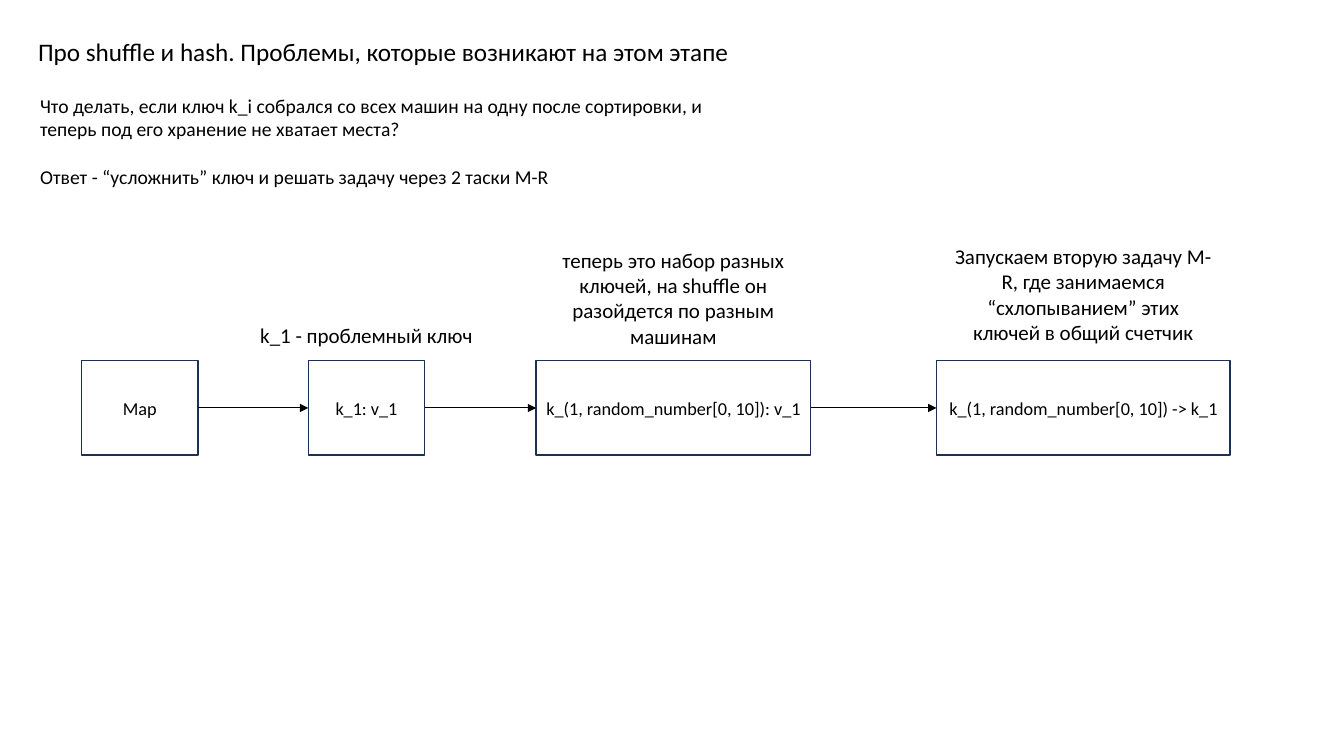
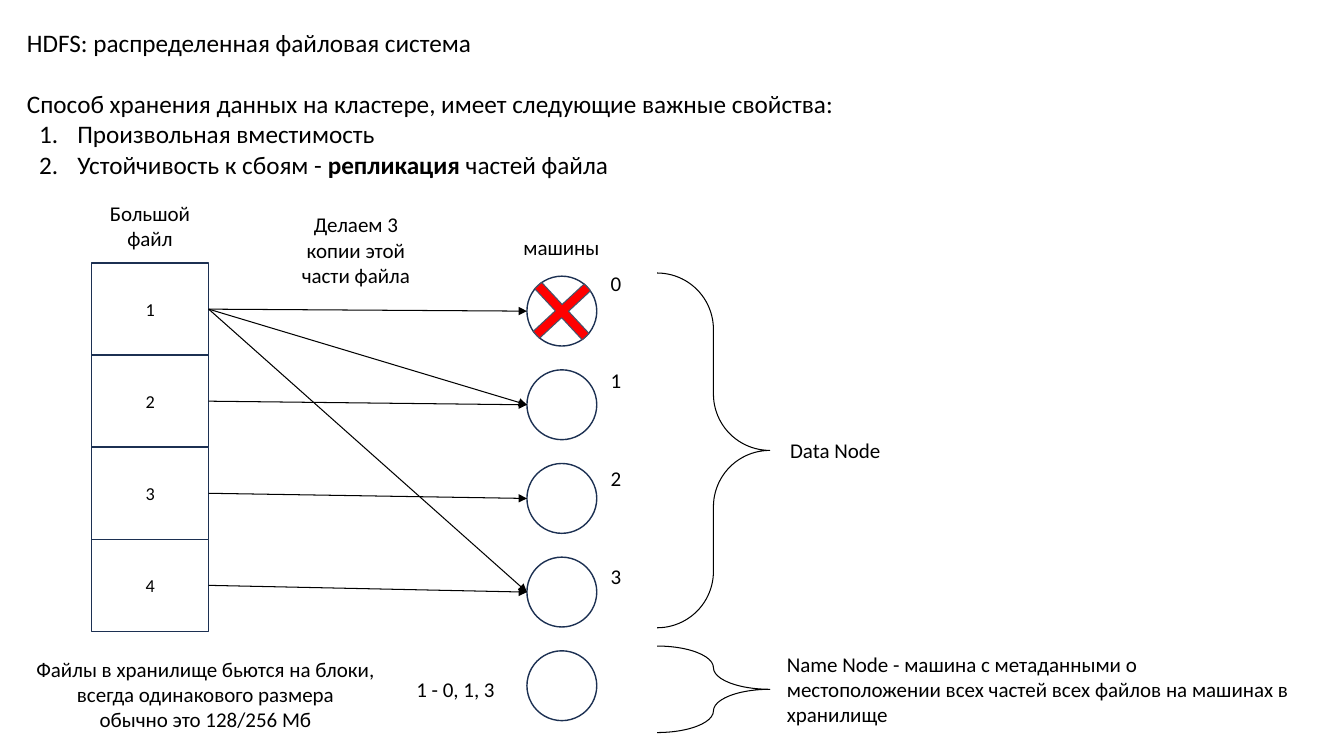
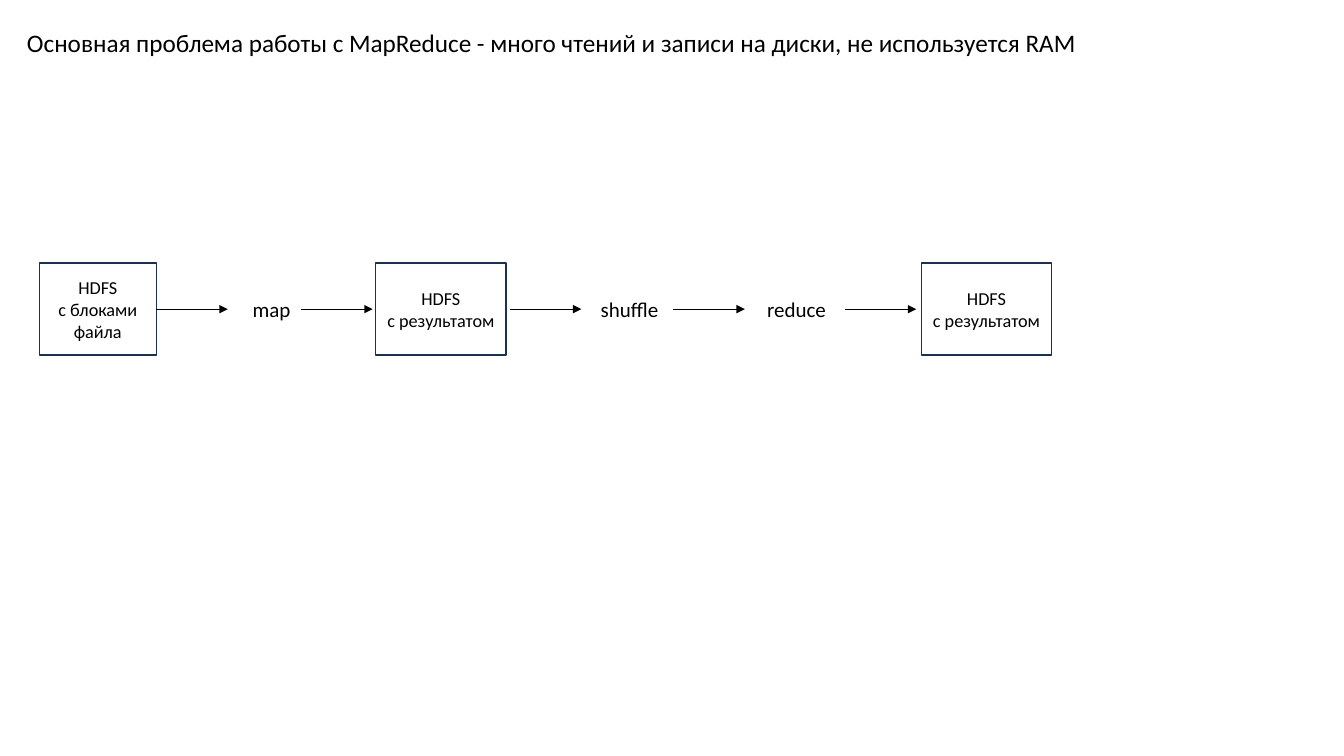
from lxml import etree
from pptx import Presentation
from pptx.dml.color import RGBColor
from pptx.enum.shapes import MSO_CONNECTOR, MSO_SHAPE
from pptx.enum.text import MSO_ANCHOR, MSO_AUTO_SIZE, PP_ALIGN
from pptx.oxml.ns import qn
from pptx.util import Cm, Pt

LEFT, CENTER = PP_ALIGN.LEFT, PP_ALIGN.CENTER
TOP, MIDDLE, BOTTOM = MSO_ANCHOR.TOP, MSO_ANCHOR.MIDDLE, MSO_ANCHOR.BOTTOM
RECT, OVAL = MSO_SHAPE.RECTANGLE, MSO_SHAPE.OVAL
CROSS, BRACE = MSO_SHAPE.CROSS, MSO_SHAPE.RIGHT_BRACE
STRAIGHT = MSO_CONNECTOR.STRAIGHT
NO_AUTOFIT = MSO_AUTO_SIZE.NONE
SITE_LEFT, SITE_RIGHT = 1, 3

FONT = "Calibri"
BLACK, WHITE, RED = "000000", "FFFFFF", "FF0000"
NAVY, SLATE = "1C3052", "44546A"
TITLE_SIZE, CAPTION_SIZE, INTRO_SIZE, BOX_SIZE = 18, 15, 14, 13
TITLE_ONLY = 5


def color(hex_string):
    return RGBColor.from_string(hex_string)


def write(frame, text, size, align=LEFT, anchor=TOP, pad=0.13):
    """Fill a text frame; lines become paragraphs, *stars* mark bold."""
    frame_format = {
        "word_wrap": True, "auto_size": NO_AUTOFIT, "vertical_anchor": anchor,
        "margin_left": Cm(0.25), "margin_right": Cm(0.25),
        "margin_top": Cm(pad), "margin_bottom": Cm(pad),
    }
    for name, value in frame_format.items():
        setattr(frame, name, value)
    for index, line in enumerate(text.split("\n")):
        paragraph = frame.add_paragraph() if index else frame.paragraphs[0]
        paragraph.alignment = align
        for part, words in enumerate(line.split("*")):
            run = paragraph.add_run()
            run.text = words
            font_format = {"name": FONT, "size": Pt(size), "bold": part % 2 == 1}
            for name, value in font_format.items():
                setattr(run.font, name, value)
            run.font.color.rgb = color(BLACK)
    return frame.paragraphs


def add_titled_slide(prs, title, left=0.43, top=0.43):
    slide = prs.slides.add_slide(prs.slide_layouts[TITLE_ONLY])
    holder = slide.shapes.title
    place = {"left": left, "top": top, "width": 27.5, "height": 1.27}
    for name, value in place.items():
        setattr(holder, name, Cm(value))
    write(holder.text_frame, title, TITLE_SIZE, pad=0.25)
    return slide


def add_text(slide, box, text, size=CAPTION_SIZE, align=CENTER, anchor=TOP, pad=0.13):
    holder = slide.shapes.add_textbox(*map(Cm, box))
    return write(holder.text_frame, text, size, align, anchor, pad)


def add_figure(slide, kind, box, text="", fill=WHITE, line=NAVY, weight=1):
    figure = slide.shapes.add_shape(kind, *map(Cm, box))
    figure.shadow.inherit = False
    figure.fill.solid()
    figure.fill.fore_color.rgb = color(fill)
    figure.line.color.rgb = color(line)
    figure.line.width = Pt(weight)
    if text:
        write(figure.text_frame, text, BOX_SIZE, CENTER, MIDDLE)
    return figure


def add_arrow(slide, start, end, source=None, target=None):
    """Arrow between two points, joined to the source and target boxes if given."""
    arrow = slide.shapes.add_connector(STRAIGHT, *map(Cm, (*start, *end)))
    if source:
        arrow.begin_connect(source, SITE_RIGHT)
    if target:
        arrow.end_connect(target, SITE_LEFT)
    arrow.line.color.rgb = color(BLACK)
    arrow.line.width = Pt(0.75)
    etree.SubElement(arrow.line._get_or_add_ln(), qn("a:tailEnd"), type="triangle")
    etree.SubElement(arrow._element.spPr, qn("a:effectLst"))


def number(paragraph):
    properties = paragraph._p.get_or_add_pPr()
    properties.set("marL", str(Cm(1.27)))
    properties.set("indent", str(Cm(-0.96)))
    etree.SubElement(properties, qn("a:buFont"), typeface="+mj-lt")
    etree.SubElement(properties, qn("a:buAutoNum"), type="arabicPeriod")


def key_flow(slide, left, top):
    """Row of boxes with captions above and arrows between them."""
    height, caption_width, caption_height = 2.38, 7.11, 2.82
    steps = [  # offset, width, text, caption, gap under caption
        (0, 2.93, "Map", "", 0),
        (5.71, 2.93, "k_1: v_1", "k_1 - проблемный ключ", 0.2),
        (11.45, 6.92, "k_(1, random_number[0, 10]): v_1",
         "теперь это набор разных ключей, на shuffle он разойдется по разным машинам", 0.18),
        (21.54, 7.4, "k_(1, random_number[0, 10]) -> k_1",
         "Запускаем вторую задачу M-R, где занимаемся “схлопыванием” этих "
         "ключей в общий счетчик", 0.28),
    ]
    previous = None
    for offset, width, text, caption, gap in steps:
        x = left + offset
        step = add_figure(slide, RECT, (x, top, width, height), text)
        if caption:
            caption_box = (x + (width - caption_width) / 2, top - gap - caption_height,
                           caption_width, caption_height)
            add_text(slide, caption_box, caption, anchor=BOTTOM)
        if previous:
            add_arrow(slide, (left, top), (x, top), previous, step)
        previous = step


def replication(slide, left, top):
    """File blocks, machines, and the arrows that copy blocks to machines."""
    block_width, block_height = 2.95, 2.32
    diameter, pitch, label_pitch = 1.76, 2.36, 2.46
    machine_left, machine_top = left + 10.97, top + 0.33
    blocks = [
        add_figure(slide, RECT, (left, top + i * block_height, block_width, block_height),
                   str(i + 1))
        for i in range(4)
    ]
    for i in range(5):
        add_figure(slide, OVAL, (machine_left, machine_top + i * pitch, diameter, diameter))
    for i in range(4):
        add_text(slide, (left + 12.83, top + 0.05 + i * label_pitch, 0.84, 0.89),
                 str(i), align=LEFT)
    failure = add_figure(slide, CROSS, (machine_left, machine_top, diameter, diameter),
                         fill=RED, line=SLATE, weight=0.75)
    failure.adjustments[0] = 0.433
    failure.rotation = 47.1
    for block, machine in [(0, 0), (1, 1), (2, 2), (3, 3), (0, 1), (0, 3)]:
        end = (machine_left, machine_top + machine * pitch + diameter / 2)
        add_arrow(slide, (left, top), end, source=blocks[block])

    captions = [  # offset x, offset y, width, height, text
        (-0.18, -1.7, 3.3, 1.55, "Большой файл"),
        (5.01, -1.42, 3.3, 2.18, "Делаем 3 копии этой части файла"),
        (10.19, -0.84, 3.3, 0.89, "машины"),
        (7.52, 10.29, 3.3, 0.89, "1 - 0, 1, 3"),
        (-1.88, 9.78, 9.5, 2.18, "Файлы в хранилище бьются на блоки, "
         "всегда одинакового размера\nобычно это 128/256 Мб"),
    ]
    for x, y, width, height, text in captions:
        add_text(slide, (left + x, top + y, width, height), text)


def node_roles(slide, left, top):
    """Braces that name the kinds of machine."""
    brace_width = 2.84
    roles = [  # offset, height, gap, label
        (0, 8.94, 0.26, "Data Node"),
        (9.4, 2.18, 0.18, "Name Node - машина с метаданными о местоположении "
         "всех частей всех файлов на машинах в хранилище"),
    ]
    for offset, height, gap, label in roles:
        y = top + offset
        brace = add_figure(slide, BRACE, (left, y, brace_width, height),
                           line=BLACK, weight=0.75)
        brace.adjustments[0] = brace.adjustments[1] = 0.5
        add_text(slide, (left + brace_width + gap, y, 13.23, height), label,
                 align=LEFT, anchor=MIDDLE)


def disk_flow(slide, left, top):
    """Stages of a job, with files stored between them."""
    height, arrow_length = 2.32, 1.8
    axis = top + height / 2
    stores = [
        add_figure(slide, RECT, (left + offset, top, width, height), text)
        for offset, width, text in [
            (0, 2.95, "HDFS\nс блоками файла"),
            (8.48, 3.28, "HDFS\nс результатом"),
            (22.23, 3.28, "HDFS\nс результатом"),
        ]
    ]
    for offset, stage in [(4.75, "map"), (13.77, "shuffle"), (17.98, "reduce")]:
        add_text(slide, (left + offset, axis - 0.45, 2.21, 0.89), stage)
    for offset, source in [(2.95, stores[0]), (6.6, None), (11.86, None),
                           (15.98, None), (20.3, None)]:
        start = left + offset
        add_arrow(slide, (start, axis), (start + arrow_length, axis), source)


def main():
    prs = Presentation()
    prs.slide_width, prs.slide_height = Cm(33.87), Cm(19.05)

    shuffle = add_titled_slide(
        prs, "Про shuffle и hash. Проблемы, которые возникают на этом этапе", 0.71, 0.66)
    question, answer = add_text(
        shuffle, (0.76, 2.11, 18.62, 2.9),
        "Что делать, если ключ k_i собрался со всех машин на одну после сортировки, "
        "и теперь под его хранение не хватает места?\n"
        "Ответ - “усложнить” ключ и решать задачу через 2 таски M-R",
        INTRO_SIZE, LEFT, pad=0.25)
    question.space_after = Pt(17)
    key_flow(shuffle, 2.06, 9.09)

    hdfs = add_titled_slide(prs, "HDFS: распределенная файловая система")
    _, *properties = add_text(
        hdfs, (0.43, 1.98, 24.4, 2.82),
        "Способ хранения данных на кластере, имеет следующие важные свойства:\n"
        "Произвольная вместимость\n"
        "Устойчивость к сбоям - *репликация* частей файла",
        TITLE_SIZE, LEFT, pad=0.25)
    for item in properties:
        number(item)
    replication(hdfs, 2.31, 6.63)
    node_roles(hdfs, 16.56, 6.88)

    disks = add_titled_slide(
        prs, "Основная проблема работы с MapReduce - много чтений и записи на диски, "
        "не используется RAM")
    disk_flow(disks, 0.99, 6.63)

    prs.save("out.pptx")


if __name__ == "__main__":
    main()
